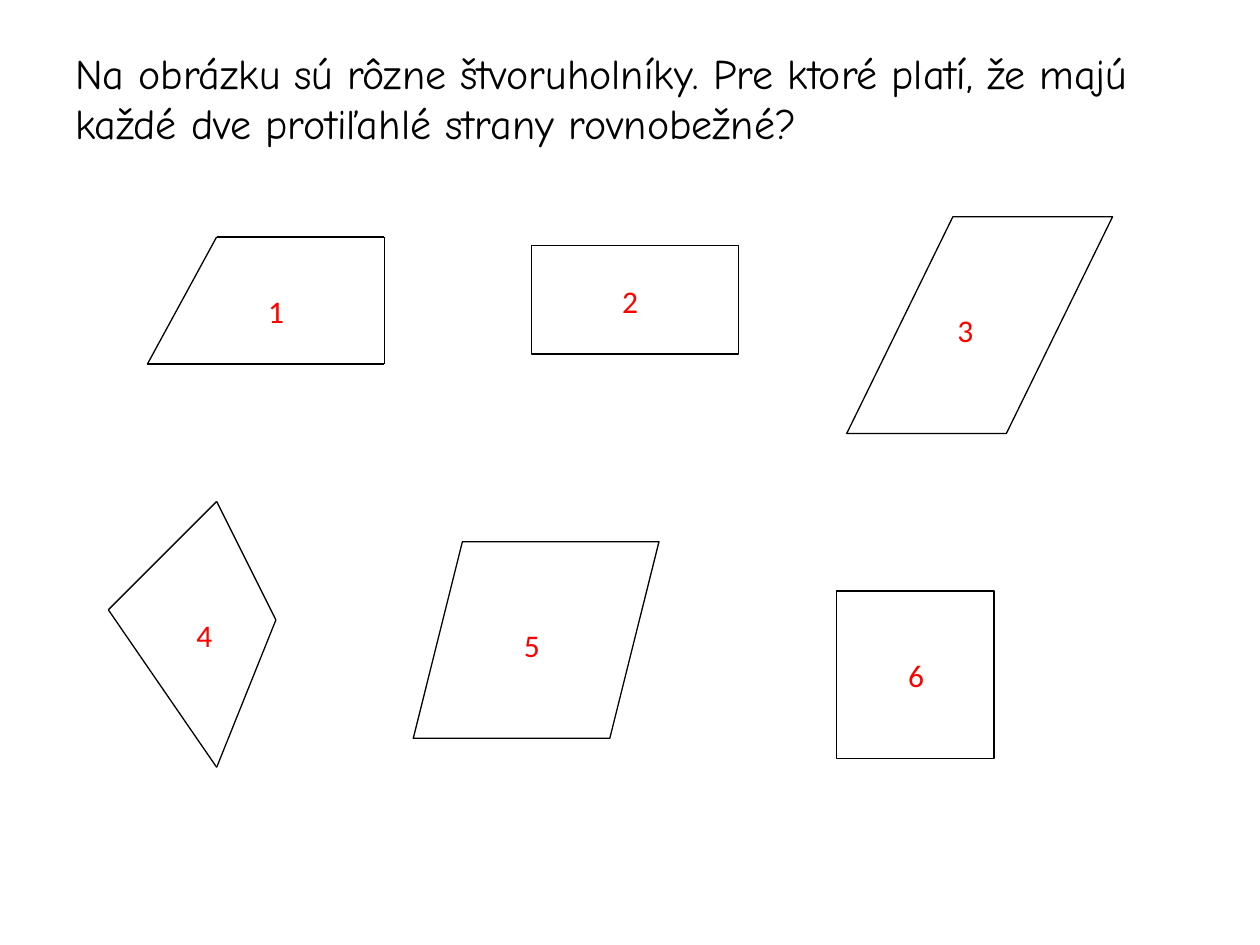
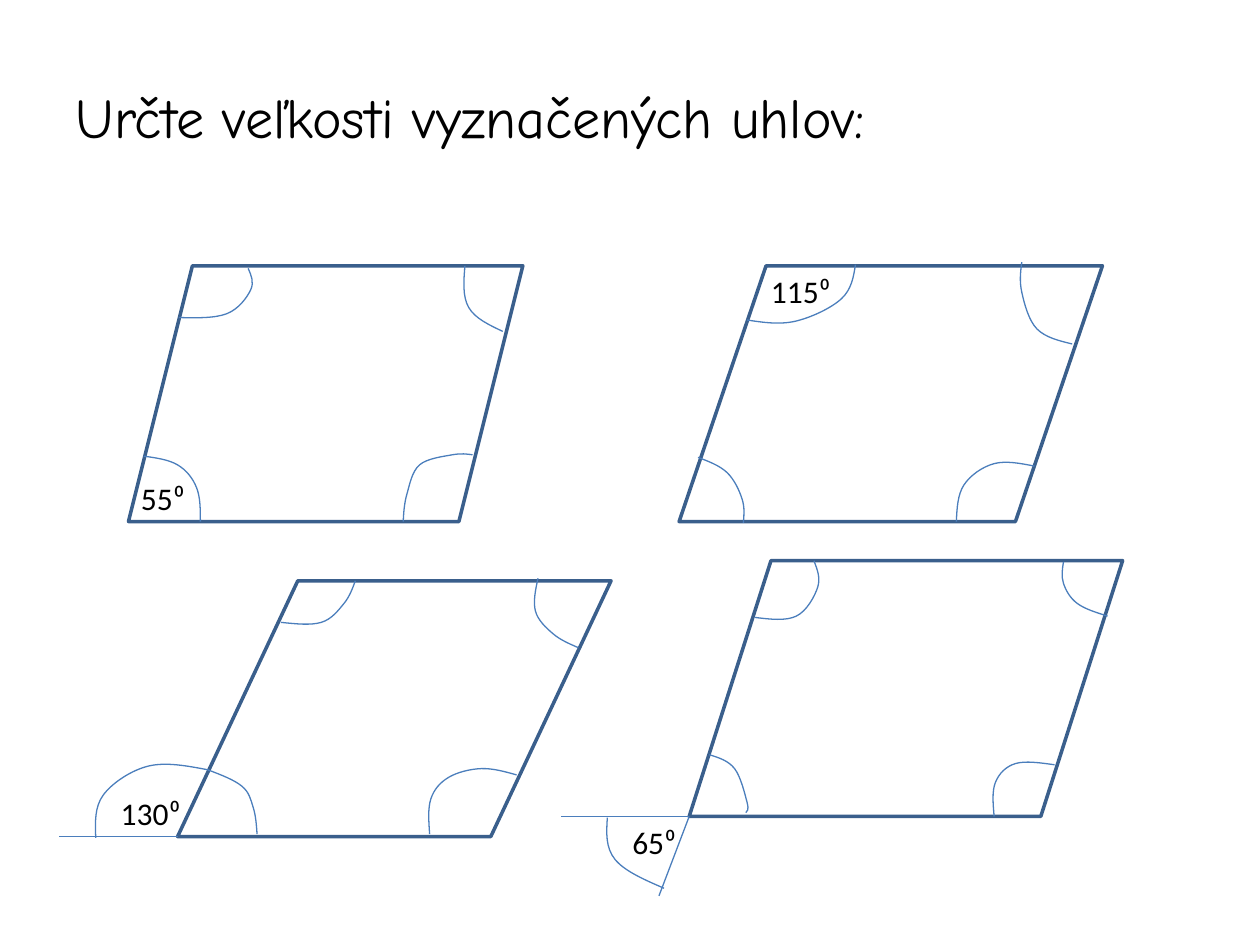
import pptx
import pptx.dml.color
import pptx.enum.shapes
import pptx.enum.text
import pptx.oxml
import pptx.oxml.ns
import pptx.util

# The slide is a grid of 10 columns and 7.5 rows.
COLUMNS, ROWS = 10, 7.5
CELL = pptx.util.Inches(1)

TITLE_FONT, LABEL_FONT = "Comic Neue", "Calibri"
BLACK, RED = "000000", "FF0000"
SIDE_BLUE, ARC_BLUE = "3A5F8C", "4B7EBC"
THIN, THICK = 0.75, 2
PARALLELOGRAM = pptx.enum.shapes.MSO_SHAPE.PARALLELOGRAM
RECTANGLE = pptx.enum.shapes.MSO_SHAPE.RECTANGLE

# Figures of the first slide: corners, or kind, place and slant.
OUTLINES = [
    [(1.17, 2.89), (3.05, 2.89), (3.05, 1.88), (1.72, 1.88)],
    [(0.86, 4.84), (1.72, 6.09), (2.19, 4.92), (1.72, 3.98)],
]
FIGURES = [
    (RECTANGLE, (4.22, 1.95, 1.64, 0.86), None),
    (PARALLELOGRAM, (6.72, 1.72, 2.11, 1.72), 0.49),
    (PARALLELOGRAM, (3.28, 4.3, 1.95, 1.56), 0.25),
    (RECTANGLE, (6.64, 4.69, 1.25, 1.33), None),
]
NUMBER_PLACES = [(2.03, 2.27), (4.84, 2.19), (7.5, 2.42),
                 (1.46, 4.84), (4.06, 4.92), (7.11, 5.16)]

# Tasks of the second slide; each arc lists the points it passes through.
ANGLE_TASKS = [
    {"place": (1.02, 2.11, 3.13, 2.03), "slant": 0.25,
     "angle": "55⁰", "angle_place": (1.02, 3.75, 0.56), "rays": [],
     "arcs": [
         [(1.14, 3.62), (1.41, 3.69), (1.56, 3.87), (1.59, 4.14)],
         [(1.42, 2.52), (1.8, 2.49), (1.99, 2.3), (1.97, 2.13)],
         [(3.99, 2.63), (3.72, 2.44), (3.69, 2.11)],
         [(3.2, 4.14), (3.23, 3.92), (3.33, 3.69), (3.59, 3.61), (3.75, 3.61)]]},
    {"place": (5.39, 2.11, 3.36, 2.03), "slant": 0.34,
     "angle": "115⁰", "angle_place": (6.02, 2.11, 0.68), "rays": [],
     "arcs": [
         [(5.54, 3.63), (5.77, 3.75), (5.89, 3.96), (5.9, 4.15)],
         [(7.59, 4.14), (7.65, 3.85), (7.89, 3.68), (8.21, 3.7)],
         [(5.93, 2.54), (6.31, 2.55), (6.68, 2.37), (6.79, 2.1)],
         [(8.51, 2.73), (8.23, 2.61), (8.11, 2.32), (8.11, 2.08)]]},
    {"place": (1.41, 4.61, 3.44, 2.03), "slant": 0.47,
     "angle": "130⁰", "angle_place": (0.86, 6.25, 0.68),
     "rays": [((1.41, 6.64), (0.47, 6.64))],
     "arcs": [
         [(0.76, 6.65), (0.82, 6.31), (1.18, 6.08), (1.65, 6.11)],
         [(2.23, 4.94), (2.55, 4.94), (2.73, 4.79), (2.82, 4.61)],
         [(1.65, 6.11), (1.92, 6.24), (2.01, 6.41), (2.04, 6.62)],
         [(3.41, 6.62), (3.42, 6.34), (3.56, 6.17), (3.82, 6.1), (4.1, 6.15)],
         [(4.27, 4.59), (4.25, 4.85), (4.39, 5.03), (4.59, 5.14)]]},
    {"place": (5.47, 4.45, 3.44, 2.03), "slant": 0.32,
     "angle": "65⁰", "angle_place": (4.92, 6.48, 0.56),
     "rays": [((5.47, 6.48), (4.45, 6.48)), ((5.47, 6.48), (5.23, 7.11))],
     "arcs": [
         [(5.63, 5.99), (5.83, 6.1), (5.93, 6.37), (5.92, 6.45)],
         [(5.99, 4.9), (6.32, 4.89), (6.49, 4.66), (6.46, 4.45)],
         [(7.89, 6.48), (7.9, 6.21), (8.06, 6.06), (8.37, 6.07)],
         [(8.44, 4.46), (8.44, 4.63), (8.55, 4.79), (8.79, 4.89)],
         [(4.82, 6.49), (4.88, 6.82), (5.27, 7.05)]]},
]


def grid(*lengths):
    return [round(length * CELL) for length in lengths]


def rgb(color):
    return pptx.dml.color.RGBColor.from_string(color)


def set_line(element, color, width):
    element.line.color.rgb = rgb(color)
    element.line.width = pptx.util.Pt(width)


def outline_only(shape, color, width):
    shape.shadow.inherit = False
    shape.fill.background()
    set_line(shape, color, width)


def add_text(slide, text, place, font, size, color=BLACK, **frame_format):
    box = slide.shapes.add_textbox(*grid(*place))
    for name, value in frame_format.items():
        setattr(box.text_frame, name, value)
    paragraph = box.text_frame.paragraphs[0]
    paragraph.text = text
    font_format = {"name": font, "size": pptx.util.Pt(size)}
    for name, value in font_format.items():
        setattr(paragraph.font, name, value)
    paragraph.font.color.rgb = rgb(color)


def add_title(slide, text, size, height):
    add_text(slide, text, (0.5, 0.3, COLUMNS - 1, height), TITLE_FONT, size,
             word_wrap=True, vertical_anchor=pptx.enum.text.MSO_ANCHOR.MIDDLE)


def add_label(slide, text, left, top, width=0.33, color=BLACK):
    add_text(slide, text, (left, top, width, 0.4), LABEL_FONT, 18, color,
             word_wrap=False,
             auto_size=pptx.enum.text.MSO_AUTO_SIZE.SHAPE_TO_FIT_TEXT)


def add_segment(slide, start, end, color):
    segment = slide.shapes.add_connector(
        pptx.enum.shapes.MSO_CONNECTOR.STRAIGHT, *grid(*start, *end))
    set_line(segment, color, THIN)
    properties = segment._element.spPr
    properties.append(properties.makeelement(pptx.oxml.ns.qn("a:effectLst"), {}))


def add_figure(slide, kind, place, slant, color, width):
    figure = slide.shapes.add_shape(kind, *grid(*place))
    if slant is not None:
        figure.adjustments[0] = slant
    outline_only(figure, color, width)


def midpoint(start, end):
    return tuple((a + b) / 2 for a, b in zip(start, end))


def curve_controls(points):
    """Give two control points and an end for each stretch of a smooth curve.

    The tangent at an inner point is parallel to the line between its neighbours.
    """
    arms = [tuple((c - a) / 6 for a, c in zip(before, after))
            for before, after in zip(points, points[2:])]
    leaving = [tuple(p + d for p, d in zip(point, arm))
               for point, arm in zip(points[1:], arms)]
    arriving = [tuple(p - d for p, d in zip(point, arm))
                for point, arm in zip(points[1:], arms)]
    leaving.insert(0, midpoint(points[0], arriving[0]))
    arriving.append(midpoint(points[-1], leaving[-1]))
    return zip(leaving, arriving, points[1:])


def add_arc(slide, points):
    start, *rest = [grid(*point) for point in points]
    builder = slide.shapes.build_freeform(*start)
    builder.add_line_segments(rest, close=False)
    arc = builder.convert_to_shape()
    outline_only(arc, ARC_BLUE, THIN)

    qn = pptx.oxml.ns.qn
    stretches = list(arc._element.spPr.iter(qn("a:lnTo")))
    for stretch, controls in zip(stretches, curve_controls(points)):
        curve = stretch.makeelement(qn("a:cubicBezTo"), {})
        for control in controls:
            x, y = grid(*control)
            curve.append(curve.makeelement(
                qn("a:pt"), {"x": str(x - arc.left), "y": str(y - arc.top)}))
        stretch.getparent().replace(stretch, curve)


def build_quadrilaterals(slide):
    add_title(slide, "Na obrázku sú rôzne štvoruholníky. Pre ktoré platí, "
              "že majú každé dve protiľahlé strany rovnobežné?", 24, 0.95)
    for corners in OUTLINES:
        for start, end in zip(corners, corners[1:] + corners[:1]):
            add_segment(slide, start, end, BLACK)
    for kind, place, slant in FIGURES:
        add_figure(slide, kind, place, slant, BLACK, THIN)
    for number, place in enumerate(NUMBER_PLACES, 1):
        add_label(slide, str(number), *place, color=RED)


def build_angles(slide):
    add_title(slide, "Určte veľkosti vyznačených uhlov:", 32, 1.25)
    for task in ANGLE_TASKS:
        add_figure(slide, PARALLELOGRAM, task["place"], task["slant"],
                   SIDE_BLUE, THICK)
        for start, end in task["rays"]:
            add_segment(slide, start, end, ARC_BLUE)
        add_label(slide, task["angle"], *task["angle_place"])
        for points in task["arcs"]:
            add_arc(slide, points)


def main():
    deck = pptx.Presentation()
    deck.slide_width, deck.slide_height = grid(COLUMNS, ROWS)
    blank = deck.slide_layouts[6]
    for build in (build_quadrilaterals, build_angles):
        build(deck.slides.add_slide(blank))
    deck.save("out.pptx")


if __name__ == "__main__":
    main()
